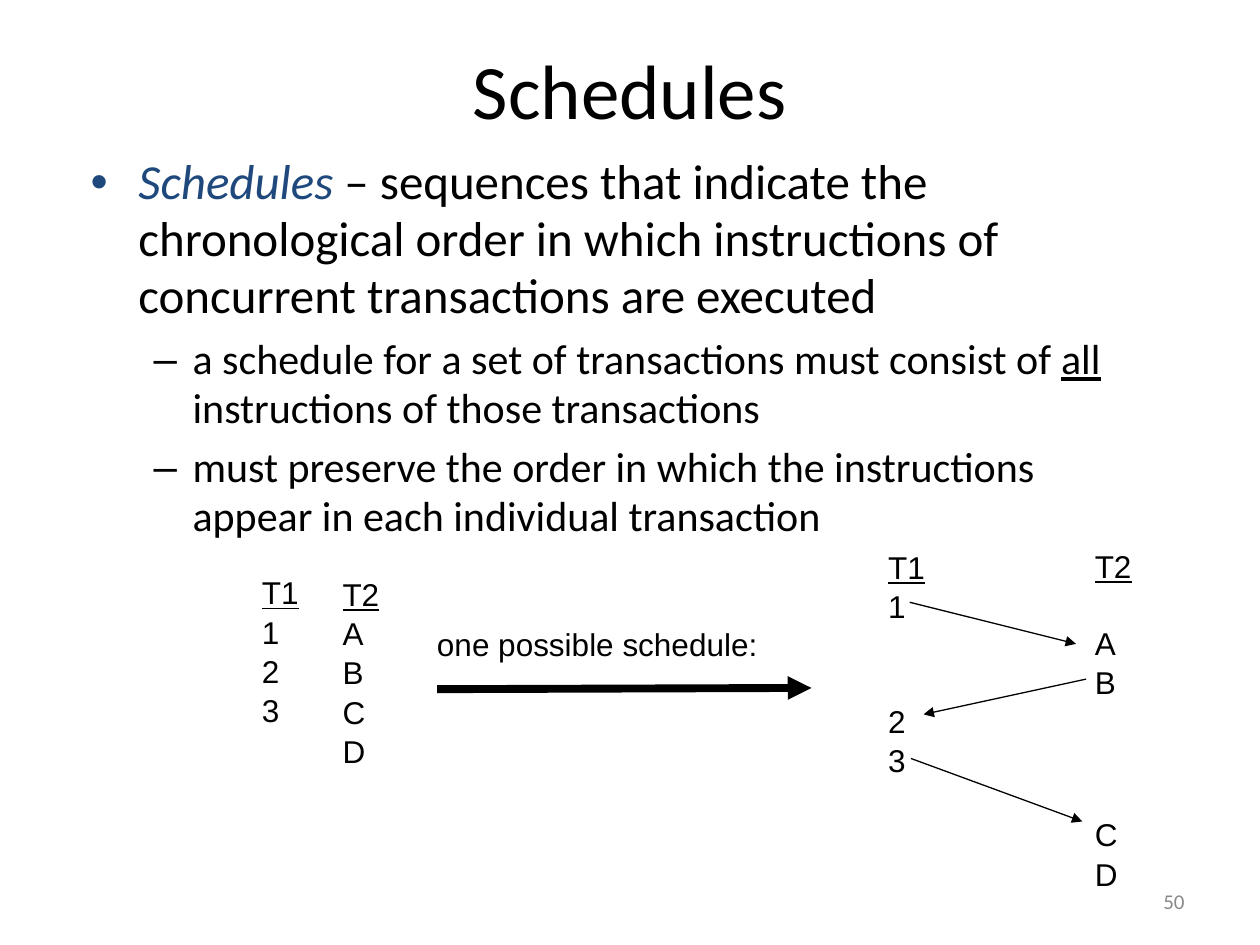
from dataclasses import dataclass

from lxml import etree
from pptx import Presentation
from pptx import util as u
from pptx.dml.color import RGBColor
from pptx.enum import shapes, text
from pptx.oxml.ns import qn

COLORS = {"black": "000000", "navy": "1F497D", "gray": "898989"}
ROW_PITCH = 21.5


@dataclass
class Run:
    text: str
    size: float = 18
    font: str = "Arial"
    color: str = "black"
    italic: bool = False
    underline: bool = False


@dataclass
class Bullet:
    runs: list[Run]
    char: str
    color: str
    level: int
    margin: float
    hang: float
    before: float


@dataclass
class Column:
    left: float
    top: float
    height: float
    heading: str
    steps: dict[int, str]


@dataclass
class Arrow:
    start: tuple[float, float]
    end: tuple[float, float]
    width: float = 0.75


def rgb(name: str) -> RGBColor:
    return RGBColor.from_string(COLORS[name])


def add_box(slide, left: float, top: float, width: float, height: float,
            wrap: bool = True, anchor=text.MSO_ANCHOR.TOP):
    sp = slide.shapes.add_textbox(*map(u.Inches, (left, top, width, height)))
    tf = sp.text_frame
    tf.word_wrap = wrap
    tf.vertical_anchor = anchor
    return tf


def add_run(p, run: Run) -> None:
    r = p.add_run()
    r.text = run.text
    r.font.size = u.Pt(run.size)
    r.font.name = run.font
    r.font.color.rgb = rgb(run.color)
    r.font.italic = run.italic
    r.font.underline = run.underline


def next_paragraph(tf, index: int):
    return tf.add_paragraph() if index else tf.paragraphs[0]


def add_bullet(p, bullet: Bullet) -> None:
    p.level = bullet.level
    p.space_before = u.Pt(bullet.before)
    p.line_spacing = 0.97
    pPr = p._p.get_or_add_pPr()
    pPr.set("marL", str(u.Inches(bullet.margin)))
    pPr.set("indent", str(-u.Inches(bullet.hang)))
    clr = etree.SubElement(pPr, qn("a:buClr"))
    etree.SubElement(clr, qn("a:srgbClr"), val=COLORS[bullet.color])
    etree.SubElement(pPr, qn("a:buFont"), typeface="Arial")
    etree.SubElement(pPr, qn("a:buChar"), char=bullet.char)
    for run in bullet.runs:
        add_run(p, run)


def add_column(slide, col: Column) -> None:
    tf = add_box(slide, col.left, col.top, 0.49, col.height, wrap=False)
    previous = -1
    for i, (row, label) in enumerate({0: col.heading, **col.steps}.items()):
        p = next_paragraph(tf, i)
        p.line_spacing = 1.04
        p.space_before = u.Pt((row - previous - 1) * ROW_PITCH)
        add_run(p, Run(label, underline=row == 0))
        previous = row


def add_arrow(slide, arrow: Arrow) -> None:
    sp = slide.shapes.add_connector(
        shapes.MSO_CONNECTOR.STRAIGHT, *map(u.Inches, arrow.start + arrow.end))
    sp.line.color.rgb = rgb("black")
    sp.line.width = u.Pt(arrow.width)
    etree.SubElement(sp.line._get_or_add_ln(), qn("a:tailEnd"), type="triangle")
    etree.SubElement(sp._element.spPr, qn("a:effectLst"))


def body_run(words: str, size: float, **style) -> Run:
    return Run(words, size, "Calibri", **style)


def sub_bullet(*runs: Run) -> Bullet:
    return Bullet(list(runs), "–", "black", 1, 0.81, 0.31, 6)


BULLETS = [
    Bullet([body_run("Schedules", 28, color="navy", italic=True),
            body_run(" – sequences that indicate the chronological order in which "
                     "instructions of concurrent transactions are executed", 28)],
           "•", "navy", 0, 0.38, 0.38, 7),
    sub_bullet(body_run("a schedule for a set of transactions must consist of ", 24),
               body_run("all", 24, underline=True),
               body_run(" instructions of those transactions", 24)),
    sub_bullet(body_run("must preserve the order in which the instructions "
                        "appear in each individual transaction", 24)),
]

COLUMNS = [
    Column(1.98, 4.49, 1.3, "T1", {1: "1", 2: "2", 3: "3"}),
    Column(2.62, 4.5, 1.6, "T2", {1: "A", 2: "B", 3: "C", 4: "D"}),
    Column(6.95, 4.29, 1.9, "T1", {1: "1", 4: "2", 5: "3"}),
    Column(8.59, 4.28, 2.8, "T2", {2: "A", 3: "B", 7: "C", 8: "D"}),
]

ARROWS = [
    Arrow((7.22, 4.78), (8.54, 5.11)),
    Arrow((8.62, 5.39), (7.33, 5.67)),
    Arrow((7.23, 6.02), (8.59, 6.52)),
    Arrow((3.47, 5.47), (6.44, 5.46), 4.5),
]


def main() -> None:
    prs = Presentation()
    prs.slide_width, prs.slide_height = u.Inches(10), u.Inches(7.5)
    s = prs.slides.add_slide(prs.slide_layouts[6])

    title = add_box(s, 0.5, 0.08, 9, 1.25, anchor=text.MSO_ANCHOR.MIDDLE)
    title.paragraphs[0].alignment = text.PP_ALIGN.CENTER
    add_run(title.paragraphs[0], Run("Schedules", 44, "Calibri"))

    body = add_box(s, 0.62, 1.17, 8.58, 3.78)
    for i, bullet in enumerate(BULLETS):
        add_bullet(next_paragraph(body, i), bullet)

    for col in COLUMNS:
        add_column(s, col)
    for arrow in ARROWS:
        add_arrow(s, arrow)

    caption = add_box(s, 3.37, 4.9, 2.74, 0.4, wrap=False)
    caption.paragraphs[0].line_spacing = 1.04
    add_run(caption.paragraphs[0], Run("one possible schedule:"))

    number = add_box(s, 7.17, 6.95, 2.33, 0.4, anchor=text.MSO_ANCHOR.MIDDLE)
    number.paragraphs[0].alignment = text.PP_ALIGN.RIGHT
    add_run(number.paragraphs[0], Run("50", 12, "Calibri", "gray"))

    prs.save("out.pptx")


if __name__ == "__main__":
    main()
